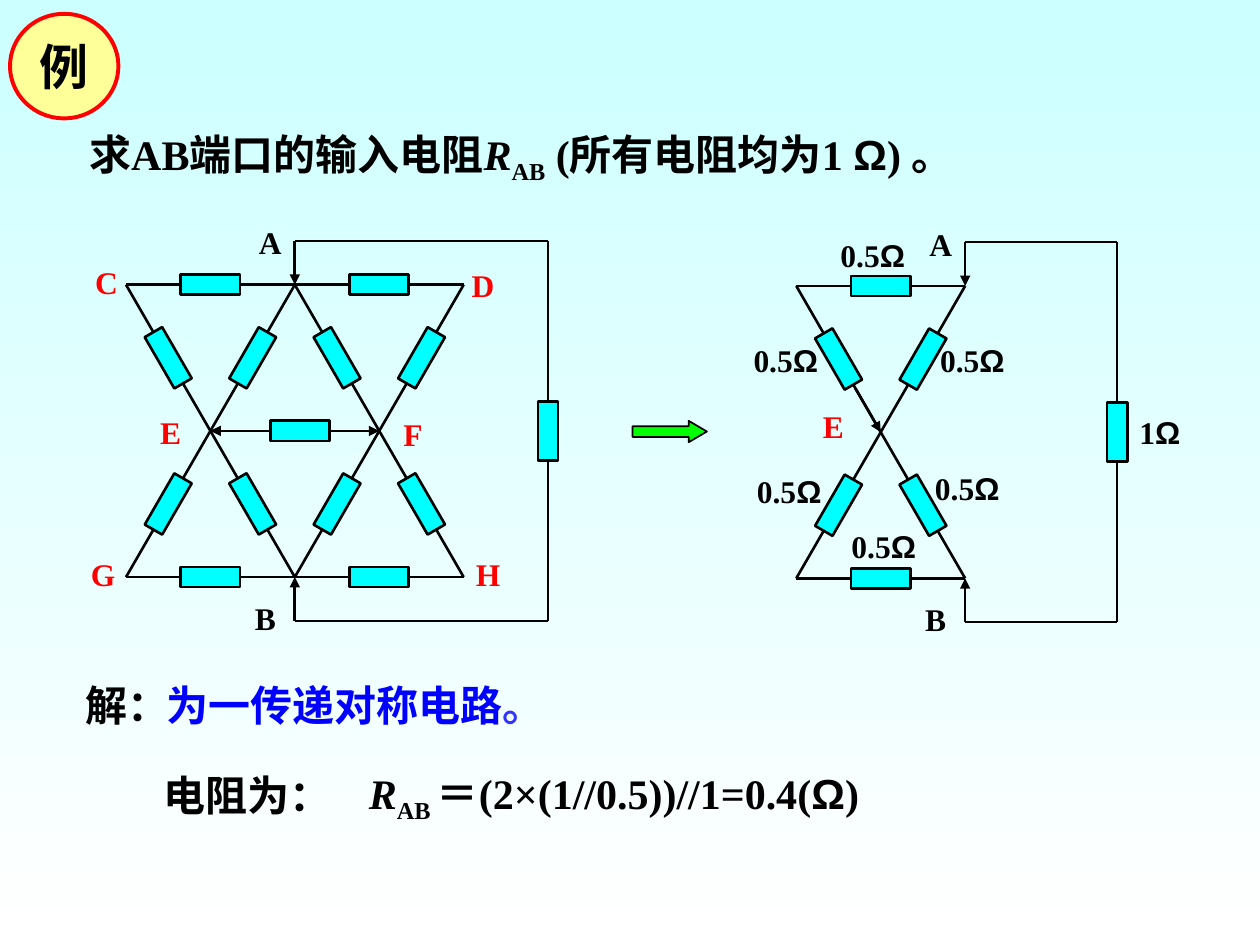
from math import atan2, degrees

from lxml.etree import SubElement
from pptx import Presentation
from pptx.dml.color import RGBColor
from pptx.enum.shapes import MSO_CONNECTOR, MSO_SHAPE
from pptx.enum.text import MSO_ANCHOR, PP_ALIGN
from pptx.oxml.ns import qn
from pptx.util import Inches, Pt

BLACK = RGBColor(0x00, 0x00, 0x00)
RED = RGBColor(0xFF, 0x00, 0x00)
BLUE = RGBColor(0x00, 0x00, 0xFF)
STOP_BLUE = RGBColor(0x33, 0x33, 0xFF)
CYAN = RGBColor(0x00, 0xFF, 0xFF)
GREEN = RGBColor(0x00, 0xFF, 0x00)
YELLOW = RGBColor(0xFF, 0xFF, 0x99)
SKY = RGBColor(0xCC, 0xFF, 0xFF)
WHITE = RGBColor(0xFF, 0xFF, 0xFF)
SERIF, SANS = "Times New Roman", "Arial"

# Circuit grid, in inches: a column is half a triangle side, a row its height
COL, ROW = 0.67, 1.16
LOOP_GAP = 0.3
RESISTOR_W, RESISTOR_H = 0.47, 0.16
NODES = {"C": (0, 0), "A": (2, 0), "D": (4, 0), "E": (1, 1), "F": (3, 1),
         "G": (0, 2), "B": (2, 2), "H": (4, 2)}


def write(tf, runs, size, align=PP_ALIGN.LEFT, anchor=MSO_ANCHOR.TOP, wrap=True):
    """Fill a text frame; each run is (text, options)."""
    tf.word_wrap = wrap
    tf.vertical_anchor = anchor
    p = tf.paragraphs[0]
    p.alignment = align
    for text, options in runs:
        r = p.add_run()
        r.text = text
        r.font.name = options.get("font", SERIF)
        r.font.size = Pt(size)
        r.font.bold = True
        r.font.italic = options.get("italic", False)
        r.font.color.rgb = options.get("color", BLACK)
        if options.get("sub"):
            r._r.get_or_add_rPr().set("baseline", "-25000")


def add_text(shapes, box, runs, size=24, **layout):
    s = shapes.add_textbox(*map(Inches, box))
    write(s.text_frame, runs, size, **layout)


def add_preset(shapes, kind, box, fill, line=BLACK, weight=1.5):
    s = shapes.add_shape(kind, *map(Inches, box))
    s.shadow.inherit = False
    s.fill.solid()
    s.fill.fore_color.rgb = fill
    s.line.color.rgb = line
    s.line.width = Pt(weight)
    return s


class Circuit:
    """Circuit whose node C is at (left, top) and whose grid is COL by ROW."""

    def __init__(self, slide, left, top):
        self.left, self.top = left, top
        self.shapes = slide.shapes.add_group_shape().shapes

    def place(self, point):
        col, row = point
        return self.left + col * COL, self.top + row * ROW

    def wire(self, start, end, *arrows):
        ends = map(Inches, self.place(start) + self.place(end))
        s = self.shapes.add_connector(MSO_CONNECTOR.STRAIGHT, *ends)
        s.line.color.rgb = BLACK
        s.line.width = Pt(1.5)
        for arrow in arrows:
            SubElement(s.line._get_or_add_ln(), qn(f"a:{arrow}"), type="triangle")
        SubElement(s._element.spPr, qn("a:effectLst"))

    def resistor(self, start, end, shift=0):
        (x1, y1), (x2, y2) = self.place(start), self.place(end)
        box = ((x1 + x2 - RESISTOR_W) / 2 + shift, (y1 + y2 - RESISTOR_H) / 2,
               RESISTOR_W, RESISTOR_H)
        s = add_preset(self.shapes, MSO_SHAPE.RECTANGLE, box, CYAN)
        s.rotation = round(degrees(atan2(y2 - y1, x2 - x1))) % 180

    def branches(self, wires, resistors):
        for a, b in wires:
            self.wire(NODES[a], NODES[b])
        for a, b in resistors:
            self.resistor(NODES[a], NODES[b])

    def outer_loop(self, col):
        """Branch from A to B through a resistor at the given column."""
        a, b = NODES["A"], NODES["B"]
        a_out, b_out = (a[0], a[1] - LOOP_GAP), (b[0], b[1] + LOOP_GAP)
        a_far, b_far = (col, a_out[1]), (col, b_out[1])
        self.wire(a_out, a, "tailEnd")
        self.wire(b, b_out, "headEnd")
        for start, end in ((a_out, a_far), (a_far, b_far), (b_far, b_out)):
            self.wire(start, end)
        self.resistor(a_far, b_far)

    def label(self, point, runs, width=0.38, **layout):
        x, y = self.place(point)
        add_text(self.shapes, (x - width / 2, y - 0.2, width, 0.4), runs, 18, **layout)

    def node_names(self, points):
        for name, point in points.items():
            color = BLACK if name in "AB" else RED
            self.label(point, [(name, {"color": color})], align=PP_ALIGN.CENTER,
                       anchor=MSO_ANCHOR.MIDDLE, wrap=False)

    def ohms(self, point, value, width=0.89):
        self.label(point, [(value, {}), ("Ω", {"font": SANS})], width)


def full_circuit(slide, left, top):
    c = Circuit(slide, left, top)
    c.branches(("CD", "GH", "AH", "AG", "DB", "CB"),
               ("CA", "AD", "GB", "BH", "AF", "FH", "CE", "EB", "DF", "AE", "EG", "FB"))
    c.wire(NODES["E"], NODES["F"], "headEnd", "tailEnd")
    c.resistor(NODES["E"], NODES["F"], shift=0.04)
    c.outer_loop(5)
    c.node_names({"C": (-0.23, -0.02), "A": (1.71, -0.29), "D": (4.23, 0),
                  "E": (0.53, 1.01), "F": (3.4, 1.02), "G": (-0.28, 1.98),
                  "B": (1.65, 2.28), "H": (4.28, 1.98)})


def reduced_circuit(slide, left, top):
    c = Circuit(slide, left, top)
    c.branches(("CA", "GB", "AG", "CB"), ("CA", "GB", "CE", "EB", "AE", "EG"))
    c.wire((0.7, 0.7), NODES["E"], "tailEnd")
    c.outer_loop(3.8)
    c.node_names({"A": (1.71, -0.29), "E": (0.44, 0.96), "B": (1.65, 2.28)})
    for point in ((1.04, -0.21), (0.01, 0.51), (2.22, 0.51),
                  (0.05, 1.4), (2.16, 1.38), (1.17, 1.78)):
        c.ohms(point, "0.5")
    c.ohms((4.38, 1), "1", width=0.62)


def example_badge(slide, box):
    s = add_preset(slide.shapes, MSO_SHAPE.OVAL, box, YELLOW, RED, 2.25)
    write(s.text_frame, [("例", {})], 28, PP_ALIGN.CENTER, MSO_ANCHOR.MIDDLE, False)


def reduction_arrow(slide, box):
    s = add_preset(slide.shapes, MSO_SHAPE.RIGHT_ARROW, box, GREEN, weight=1)
    s.adjustments[1] = 0.85


def question(slide, box):
    add_text(slide.shapes, box, [
        ("求AB端口的输入电阻", {}), ("R", {"italic": True}), ("AB", {"sub": True}),
        (" (所有电阻均为1 ", {}), ("Ω", {"font": SANS}), (") 。", {})])


def solution(slide, left, top):
    add_text(slide.shapes, (left, top, 0.98, 0.5), [("解：", {})])
    add_text(slide.shapes, (left + 0.64, top, 5.35, 0.5),
             [("为一传递对称电路", {"color": BLUE}), ("。", {"color": STOP_BLUE})])
    add_text(slide.shapes, (left + 0.62, top + 0.72, 1.96, 0.5), [("电阻为：", {})])
    add_text(slide.shapes, (left + 2.25, top + 0.7, 5.73, 0.56), [
        ("R", {"italic": True}), ("AB ", {"sub": True}),
        ("＝(2×(1//0.5))//1=0.4(", {}), ("Ω", {"font": SANS}), (")", {})])


def main():
    prs = Presentation()
    prs.slide_width, prs.slide_height = Inches(10), Inches(7.5)
    slide = prs.slides.add_slide(prs.slide_layouts[6])
    fill = slide.background.fill
    fill.gradient()
    fill.gradient_angle = 270
    for stop, color in zip(fill.gradient_stops, (SKY, WHITE)):
        stop.color.rgb = color

    question(slide, (0.61, 0.97, 9, 0.56))
    full_circuit(slide, 1, 2.26)
    reduction_arrow(slide, (5.02, 3.34, 0.59, 0.17))
    reduced_circuit(slide, 6.32, 2.27)
    solution(slide, 0.58, 5.34)
    example_badge(slide, (0.08, 0.11, 0.86, 0.83))
    prs.save("out.pptx")


if __name__ == "__main__":
    main()
